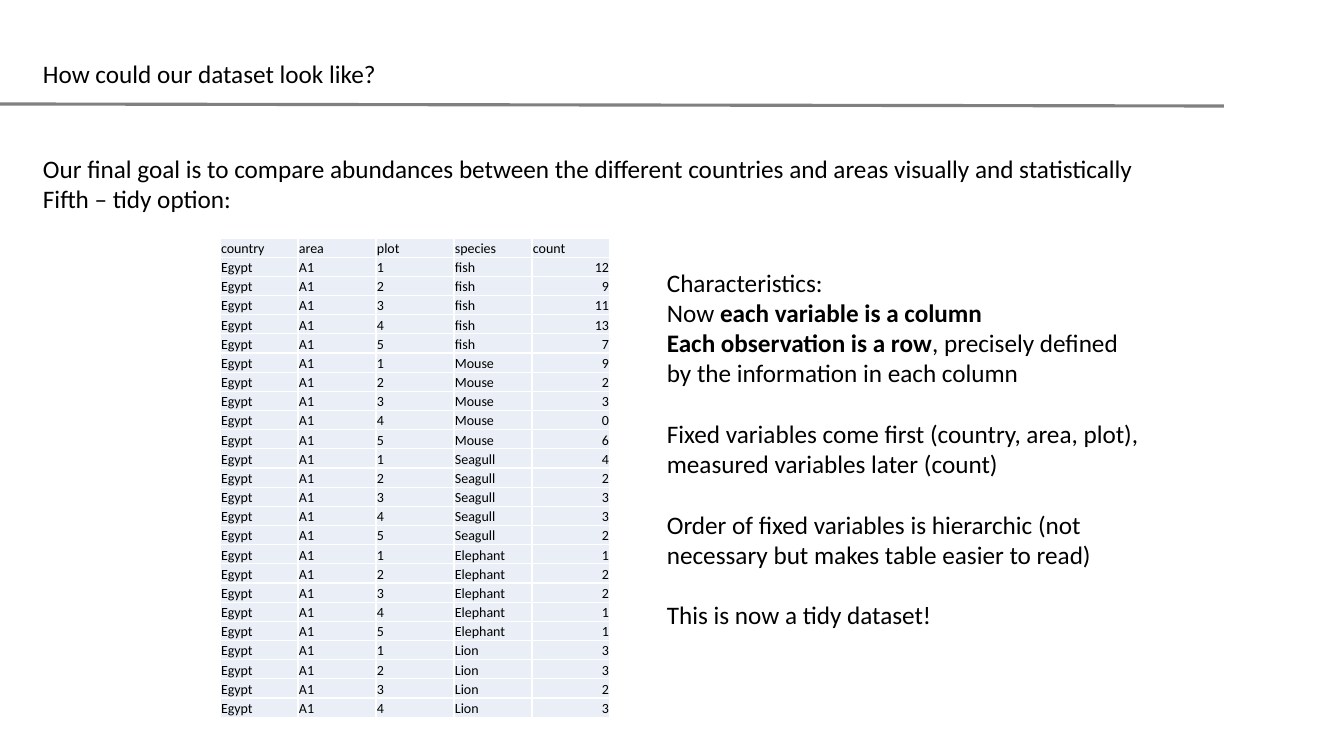
from lxml import etree
from pptx import Presentation
from pptx.dml.color import RGBColor
from pptx.enum.shapes import MSO_CONNECTOR
from pptx.enum.text import MSO_ANCHOR, MSO_AUTO_SIZE, PP_ALIGN
from pptx.oxml.ns import qn
from pptx.util import Emu, Pt

STRAIGHT = MSO_CONNECTOR.STRAIGHT
BOTTOM = MSO_ANCHOR.BOTTOM
GROW = MSO_AUTO_SIZE.SHAPE_TO_FIT_TEXT
LEFT, RIGHT = PP_ALIGN.LEFT, PP_ALIGN.RIGHT

# Each paragraph: (gap before, [(text, bold), ...])
TITLE = [(False, [("How could our dataset look like?", False)])]
GOAL = [
    (False, [("Our final goal is to compare abundances between the different "
              "countries and areas visually and statistically", False)]),
    (False, [("Fifth – tidy option:", False)]),
]
CHARACTERISTICS = [
    (False, [("Characteristics:", False)]),
    (False, [("Now ", False), ("each variable is a column", True)]),
    (False, [("Each observation is a row", True),
             (", precisely defined by the information in each column", False)]),
    (True, [("Fixed variables come first (country, area, plot), "
             "measured variables later (count)", False)]),
    (True, [("Order of fixed variables is hierarchic (not necessary "
             "but makes table easier to read)", False)]),
    (True, [("This is now a tidy dataset!", False)]),
]
HEADER = ("country", "area", "plot", "species", "count")
COUNTRY, AREA = "Egypt", "A1"
COUNTS = {  # counts in plots 1, 2, 3, ...
    "fish": (12, 9, 11, 13, 7),
    "Mouse": (9, 2, 3, 0, 6),
    "Seagull": (4, 2, 3, 3, 2),
    "Elephant": (1, 2, 2, 1, 1),
    "Lion": (3, 3, 2, 3),
}

THEME = {
    "font": "Calibri", "text": "000000", "rule": "808080",
    "cell": "EAEFF7", "border": "FFFFFF",
    "body_size": 18, "table_size": 10, "gap": 21.6,
    "rule_width": 2.25, "border_width": 1,
}

# Lengths in px
SLIDE = (1344, 756)
RULE = (0, 104, 1224, 106)
TEXT_BOXES = [  # (box, wrap, paragraphs)
    ((33, 53, 371, 40), False, TITLE),
    ((33, 148, 1124, 72), False, GOAL),
    ((657, 262, 501, 407), True, CHARACTERISTICS),
]
TABLE = (220, 238, 390, 480)
CELL_INSET = 1


def px(n):
    return Emu(round(n * 914400 / 100.8))


def set_all(obj, values):
    for name, value in values.items():
        setattr(obj, name, value)


def add_run(p, text, size, bold=False):
    r = p.add_run()
    r.text = text
    set_all(r.font, {"name": THEME["font"], "size": Pt(size), "bold": bold})
    r.font.color.rgb = RGBColor.from_string(THEME["text"])


def add_rule(s):
    line = s.shapes.add_connector(STRAIGHT, *map(px, RULE))
    line.line.color.rgb = RGBColor.from_string(THEME["rule"])
    line.line.width = Pt(THEME["rule_width"])
    etree.SubElement(line._element.spPr, qn("a:effectLst"))


def add_text(s, box, wrap, paragraphs):
    tf = s.shapes.add_textbox(*map(px, box)).text_frame
    set_all(tf, {"word_wrap": wrap, "auto_size": GROW})
    for i, (gap, runs) in enumerate(paragraphs):
        p = tf.add_paragraph() if i else tf.paragraphs[0]
        if gap:
            p.space_before = Pt(THEME["gap"])
        for text, bold in runs:
            add_run(p, text, THEME["body_size"], bold)


def add_borders(cell):
    tcPr = cell._tc.get_or_add_tcPr()
    for side in "LRTB":
        ln = etree.SubElement(tcPr, qn(f"a:ln{side}"), w=str(Pt(THEME["border_width"])))
        fill = etree.SubElement(ln, qn("a:solidFill"))
        etree.SubElement(fill, qn("a:srgbClr"), val=THEME["border"])


def add_data_table(s):
    rows = [HEADER] + [
        (COUNTRY, AREA, plot, species, count)
        for species, counts in COUNTS.items()
        for plot, count in enumerate(counts, 1)
    ]
    table = s.shapes.add_table(len(rows), len(HEADER), *map(px, TABLE)).table
    inset = px(CELL_INSET)
    cell_format = {"margin_left": inset, "margin_right": inset, "margin_top": inset,
                   "margin_bottom": 0, "vertical_anchor": BOTTOM}
    for i, row in enumerate(rows):
        for j, value in enumerate(row):
            cell = table.cell(i, j)
            set_all(cell, cell_format)
            add_borders(cell)
            cell.fill.solid()
            cell.fill.fore_color.rgb = RGBColor.from_string(THEME["cell"])
            p = cell.text_frame.paragraphs[0]
            p.alignment = RIGHT if i and HEADER[j] == "count" else LEFT
            add_run(p, str(value), THEME["table_size"])


def main():
    prs = Presentation()
    prs.slide_width, prs.slide_height = map(px, SLIDE)
    s = prs.slides.add_slide(prs.slide_layouts[6])
    add_rule(s)
    for box, wrap, paragraphs in TEXT_BOXES:
        add_text(s, box, wrap, paragraphs)
    add_data_table(s)
    prs.save("out.pptx")


if __name__ == "__main__":
    main()
